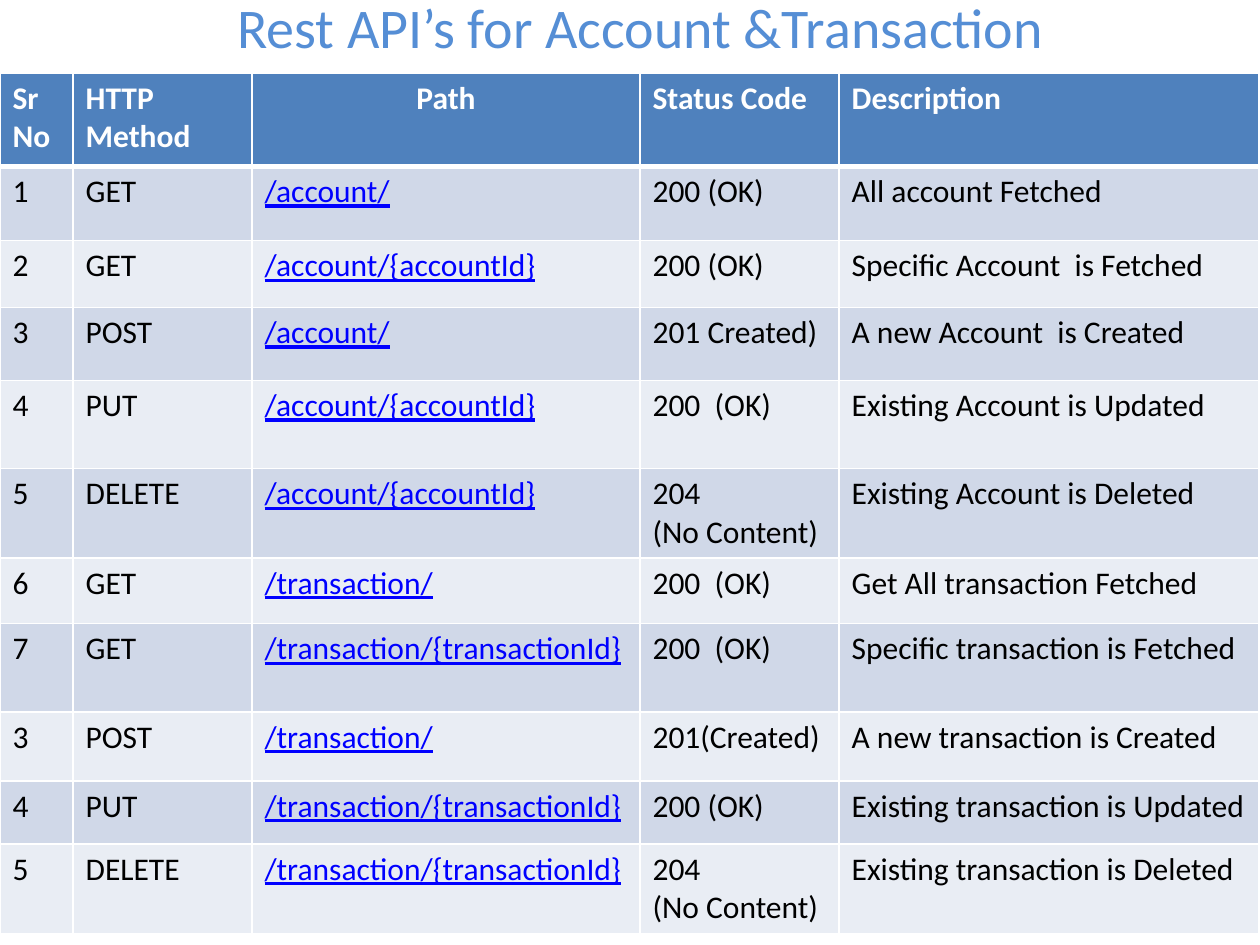
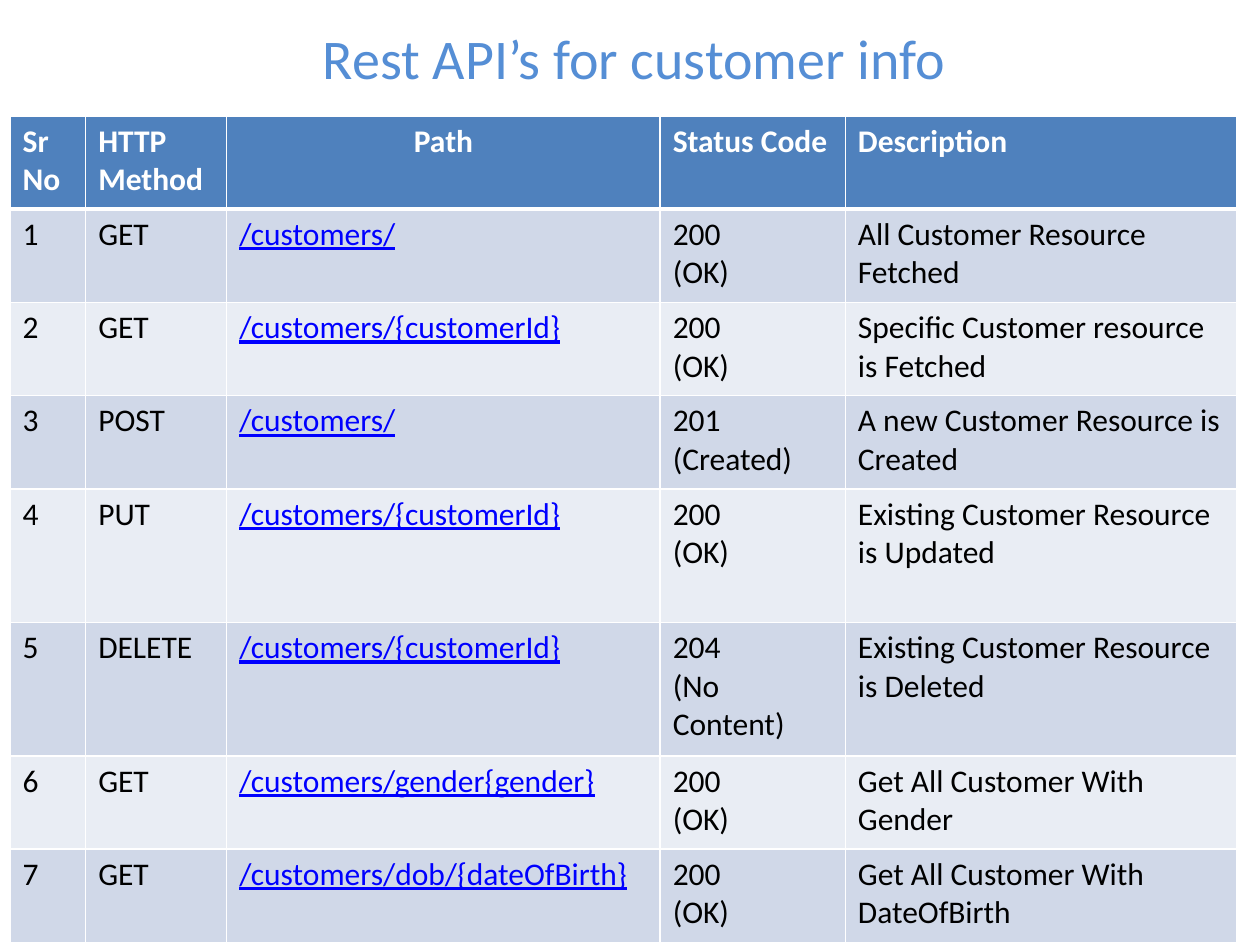
from dataclasses import dataclass
from typing import NamedTuple

from lxml.etree import SubElement
from pptx import Presentation
from pptx.dml.color import RGBColor
from pptx.enum.text import MSO_ANCHOR, PP_ALIGN
from pptx.oxml.ns import qn
from pptx.util import Emu, Inches, Pt

WHITE = RGBColor(0xFF, 0xFF, 0xFF)
BLACK = RGBColor(0x00, 0x00, 0x00)
TITLE_BLUE = RGBColor(0x55, 0x8E, 0xD5)
HEADER_BLUE = RGBColor(0x4F, 0x81, 0xBD)
LINK_BLUE = RGBColor(0x00, 0x00, 0xFF)
BANDS = (RGBColor(0xD0, 0xD8, 0xE8), RGBColor(0xE9, 0xED, 0xF4))

FONT = "Calibri"
GRID_COLUMNS, GRID_ROWS = 100, 75
TITLE_LEFT, TITLE_WIDTH, TITLE_HEIGHT = 6.7, 88.3, 7.5
HEADINGS = ("Sr No", "HTTP  Method", "Path", "Status Code", "Description")
PATH_COLUMN = HEADINGS.index("Path")
THIN, THICK = 1, 3


class Endpoint(NamedTuple):
    """One table row describing a REST call."""

    number: str
    method: str
    path_text: str
    status: str
    description: str


@dataclass(frozen=True)
class ApiPage:
    """A title and an endpoint table, measured in grid units."""

    title: str
    title_top: float
    table_left: float
    table_top: float
    columns: tuple[float, ...]
    rows: tuple[float, ...]
    endpoints: tuple[Endpoint, ...]


@dataclass(frozen=True)
class TextStyle:
    """The look of a run."""

    size: int
    color: RGBColor
    bold: bool = False
    underline: bool = False


TITLE = TextStyle(32, TITLE_BLUE)
HEADING = TextStyle(18, WHITE, bold=True)
BODY = TextStyle(18, BLACK)
LINK = TextStyle(18, LINK_BLUE, underline=True)

ACCOUNT, ACCOUNT_ID = "/account/", "/account/{accountId}"
TRANSACTION, TRANSACTION_ID = "/transaction/", "/transaction/{transactionId}"
CUSTOMERS, CUSTOMER_ID = "/customers/", "/customers/{customerId}"
NO_CONTENT = "204\n(No Content)"
OK_LINES = "200\n(OK)"

PAGES = (
    ApiPage(
        "Rest API’s for Account &Transaction", -1.7, 0, 5.8,
        (5.8, 14.2, 30.8, 15.8, 33.3),
        (7.4, 5.9, 5.3, 5.8, 7, 7, 5.2, 7, 5.5, 5, 7),
        (
            Endpoint("1", "GET", ACCOUNT, "200 (OK)", "All account Fetched"),
            Endpoint("2", "GET", ACCOUNT_ID, "200 (OK)", "Specific Account  is Fetched"),
            Endpoint("3", "POST", ACCOUNT, "201 Created)", "A new Account  is Created"),
            Endpoint("4", "PUT", ACCOUNT_ID, "200  (OK)", "Existing Account is Updated"),
            Endpoint("5", "DELETE", ACCOUNT_ID, NO_CONTENT, "Existing Account is Deleted"),
            Endpoint("6", "GET", TRANSACTION, "200  (OK)", "Get All transaction Fetched"),
            Endpoint("7", "GET", TRANSACTION_ID, "200  (OK)", "Specific transaction is Fetched"),
            Endpoint("3", "POST", TRANSACTION, "201(Created)", "A new transaction is Created"),
            Endpoint("4", "PUT", TRANSACTION_ID, "200 (OK)", "Existing transaction is Updated"),
            Endpoint("5", "DELETE", TRANSACTION_ID, NO_CONTENT, "Existing transaction is Deleted"),
        ),
    ),
    ApiPage(
        "Rest API’s for customer info ", 0.8, 0.8, 9.2,
        (6, 11.2, 34.4, 14.7, 31.1),
        (7.4, 7.4, 7.4, 7.4, 10.6, 10.6, 7.4, 7.4),
        (
            Endpoint("1", "GET", CUSTOMERS, OK_LINES, "All Customer Resource Fetched"),
            Endpoint("2", "GET", CUSTOMER_ID, OK_LINES, "Specific Customer resource is Fetched"),
            Endpoint("3", "POST", CUSTOMERS, "201\n(Created)", "A new Customer Resource is Created"),
            Endpoint("4", "PUT", CUSTOMER_ID, OK_LINES, "Existing Customer Resource is Updated"),
            Endpoint("5", "DELETE", CUSTOMER_ID, NO_CONTENT, "Existing Customer Resource is Deleted"),
            Endpoint("6", "GET", "/customers/gender{gender}", OK_LINES, "Get All Customer With Gender"),
            Endpoint("7", "GET", "/customers/dob/{dateOfBirth}", OK_LINES, "Get All Customer With DateOfBirth"),
        ),
    ),
)

deck = Presentation()
deck.slide_width, deck.slide_height = Inches(10), Inches(7.5)


def across(units: float) -> Emu:
    """Turn grid columns into a length."""
    return Emu(round(deck.slide_width * units / GRID_COLUMNS))


def down(units: float) -> Emu:
    """Turn grid rows into a length."""
    return Emu(round(deck.slide_height * units / GRID_ROWS))


def write(frame, text: str, style: TextStyle, align: PP_ALIGN = PP_ALIGN.LEFT) -> None:
    """Write each line of the text as a paragraph with one run."""
    for index, line in enumerate(text.split("\n")):
        paragraph = frame.add_paragraph() if index else frame.paragraphs[0]
        paragraph.alignment = align
        run = paragraph.add_run()
        run.text = line
        run.font.name, run.font.size = FONT, Pt(style.size)
        run.font.bold, run.font.underline = style.bold, style.underline
        run.font.color.rgb = style.color


def add_borders(cell, top: int, bottom: int) -> None:
    """Give a cell white borders of the given point widths."""
    properties = cell._tc.get_or_add_tcPr()
    for side, width in (("L", THIN), ("R", THIN), ("T", top), ("B", bottom)):
        line = SubElement(properties, qn(f"a:ln{side}"), w=str(Pt(width)))
        SubElement(SubElement(line, qn("a:solidFill")), qn("a:srgbClr"), val=str(WHITE))


def add_title(slide, page: ApiPage) -> None:
    """Add the centred title."""
    box = slide.shapes.add_textbox(
        across(TITLE_LEFT), down(page.title_top), across(TITLE_WIDTH), down(TITLE_HEIGHT)
    )
    box.text_frame.word_wrap = True
    box.text_frame.vertical_anchor = MSO_ANCHOR.MIDDLE
    write(box.text_frame, page.title, TITLE, PP_ALIGN.CENTER)


def add_endpoints(slide, page: ApiPage) -> None:
    """Add the table of endpoints under its header row."""
    table = slide.shapes.add_table(
        len(page.rows), len(page.columns),
        across(page.table_left), down(page.table_top),
        across(sum(page.columns)), down(sum(page.rows)),
    ).table
    for column, width in zip(table.columns, page.columns):
        column.width = across(width)
    for row, height in zip(table.rows, page.rows):
        row.height = down(height)
    for row_index, texts in enumerate((HEADINGS, *page.endpoints)):
        is_header = row_index == 0
        for column_index, text in enumerate(texts):
            cell = table.cell(row_index, column_index)
            is_path = column_index == PATH_COLUMN
            add_borders(cell, THICK if row_index == 1 else THIN, THICK if is_header else THIN)
            cell.fill.solid()
            cell.fill.fore_color.rgb = HEADER_BLUE if is_header else BANDS[(row_index - 1) % 2]
            style = HEADING if is_header else LINK if is_path else BODY
            align = PP_ALIGN.CENTER if is_header and is_path else PP_ALIGN.LEFT
            write(cell.text_frame, text, style, align)


for api_page in PAGES:
    api_slide = deck.slides.add_slide(deck.slide_layouts[6])
    add_endpoints(api_slide, api_page)
    add_title(api_slide, api_page)

deck.save("out.pptx")
